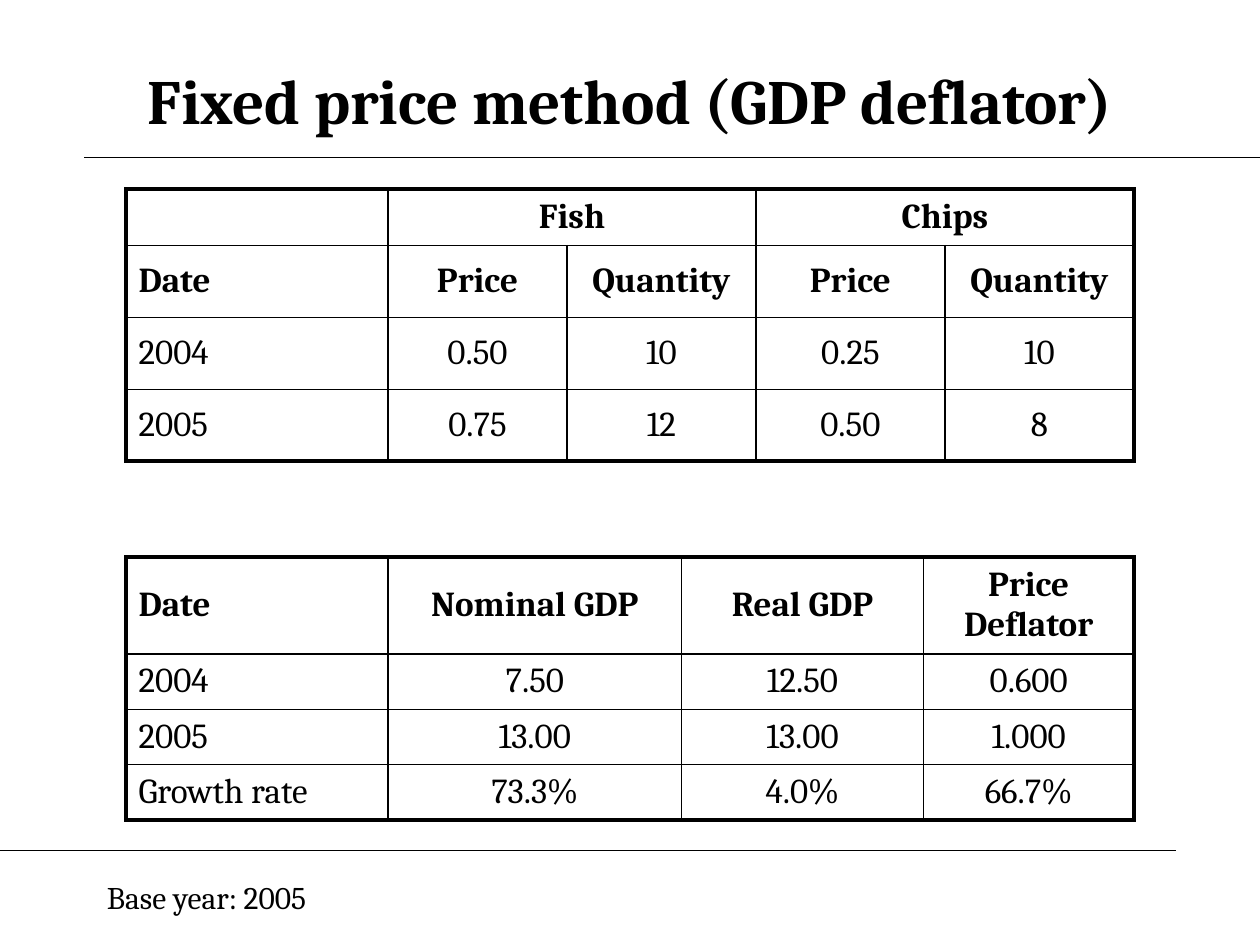
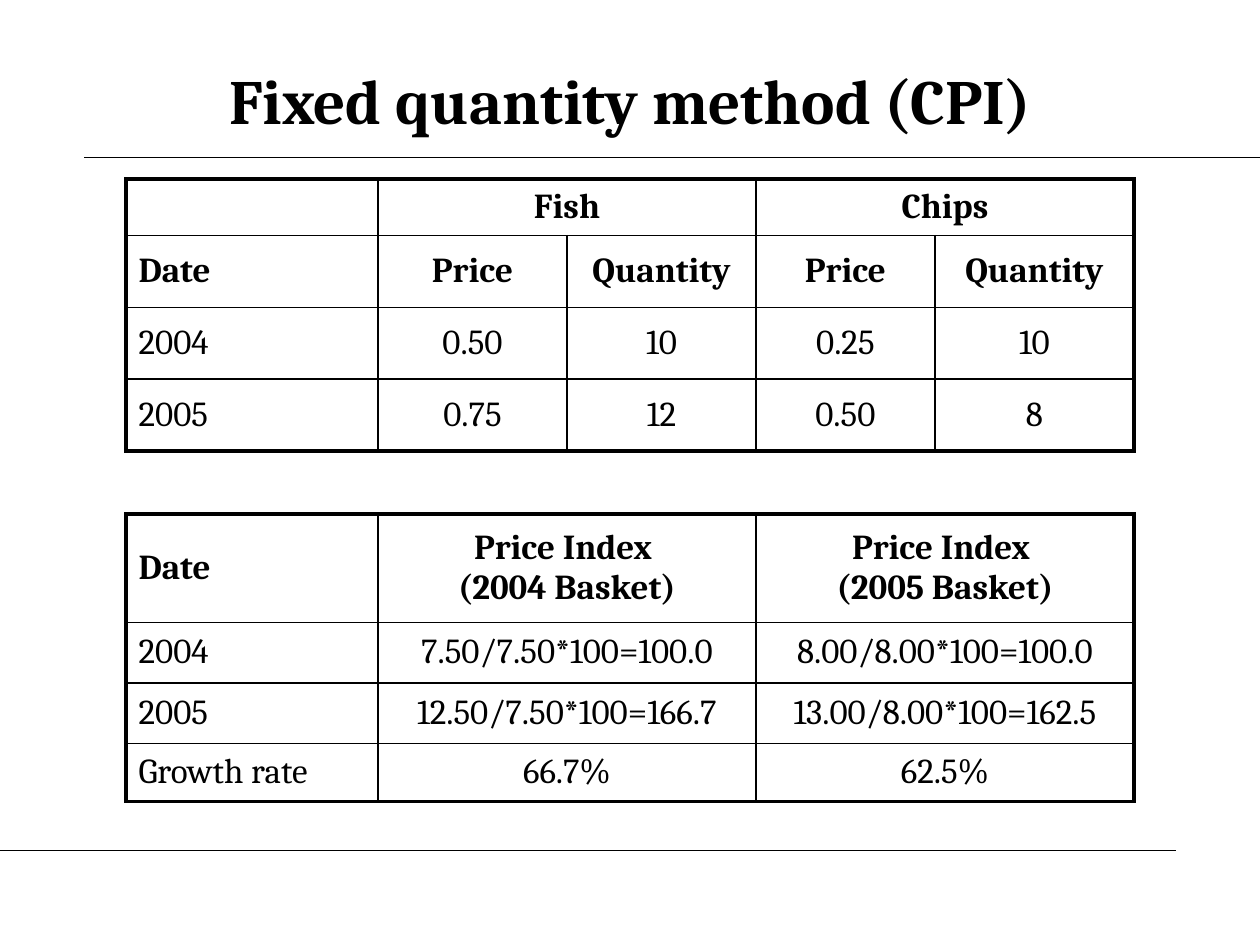
from dataclasses import dataclass

from lxml.etree import SubElement
from pptx import Presentation
from pptx.dml.color import RGBColor
from pptx.enum.shapes import MSO_CONNECTOR
from pptx.enum.text import MSO_ANCHOR, PP_ALIGN
from pptx.oxml.ns import qn
from pptx.slide import Slide
from pptx.table import _Cell
from pptx.text.text import TextFrame
from pptx.util import Inches, Pt

INK = RGBColor(0x00, 0x00, 0x00)
PAPER = RGBColor(0xFF, 0xFF, 0xFF)
FONT = "Cambria"
TITLE_SIZE, TABLE_SIZE, NOTE_SIZE = 36, 20, 18
RULE_WIDTH, GRID_WIDTH, FRAME_WIDTH = 0.75, 1, 2.25
TABLE_LEFT = 1

PRICE_ROWS = (
    ("", "Fish", "", "Chips", ""),
    ("Date", "Price", "Quantity", "Price", "Quantity"),
    ("2004", "0.50", "10", "0.25", "10"),
    ("2005", "0.75", "12", "0.50", "8"),
)
PRICE_HEIGHTS = (0.45, 0.57, 0.57, 0.57)
PRODUCT_COLUMNS = (1, 3)

DEFLATOR_ROWS = (
    ("Date", "Nominal GDP", "Real GDP", "Price Deflator"),
    ("2004", "7.50", "12.50", "0.600"),
    ("2005", "13.00", "13.00", "1.000"),
    ("Growth rate", "73.3%", "4.0%", "66.7%"),
)
INDEX_ROWS = (
    ("Date", "Price Index \n(2004 Basket)", "Price Index \n(2005 Basket)"),
    ("2004", "7.50/7.50*100=100.0", "8.00/8.00*100=100.0"),
    ("2005", "12.50/7.50*100=166.7", "13.00/8.00*100=162.5"),
    ("Growth rate", "66.7%", "62.5%"),
)


@dataclass(frozen=True)
class Grid:
    top: float
    widths: tuple[float, ...]
    heights: tuple[float, ...]
    rows: tuple[tuple[str, ...], ...]
    header_rows: int = 1
    paired_columns: tuple[int, ...] = ()


@dataclass(frozen=True)
class Method:
    title: str
    grids: tuple[Grid, ...]
    note: str = ""


def price_grid(top: float, widths: tuple[float, ...]) -> Grid:
    return Grid(top, widths, PRICE_HEIGHTS, PRICE_ROWS, 2, PRODUCT_COLUMNS)


METHODS = (
    Method(
        "Fixed price method (GDP deflator)",
        (
            price_grid(1.5, (2.08, 1.42, 1.5, 1.5, 1.5)),
            Grid(4.42, (2.08, 2.33, 1.92, 1.67), (0.77, 0.44, 0.44, 0.44), DEFLATOR_ROWS),
        ),
        "Base year: 2005",
    ),
    Method(
        "Fixed quantity method (CPI)",
        (
            price_grid(1.42, (2, 1.5, 1.5, 1.42, 1.58)),
            Grid(4.08, (2, 3, 3), (0.86, 0.48, 0.48, 0.46), INDEX_ROWS),
        ),
    ),
)


def write(frame: TextFrame, text: str, size: float, bold: bool, align: PP_ALIGN) -> None:
    paragraph = frame.paragraphs[0]
    paragraph.text = text
    paragraph.alignment = align
    for run in paragraph.runs:
        run.font.name = FONT
        run.font.size = Pt(size)
        run.font.bold = bold
        run.font.color.rgb = INK


def add_label(slide: Slide, box: tuple[float, ...], text: str, size: float,
              bold: bool, align: PP_ALIGN, anchor: MSO_ANCHOR) -> None:
    frame = slide.shapes.add_textbox(*map(Inches, box)).text_frame
    frame.word_wrap = True
    frame.vertical_anchor = anchor
    write(frame, text, size, bold, align)


def add_rule(slide: Slide, start: float, end: float, y: float) -> None:
    rule = slide.shapes.add_connector(
        MSO_CONNECTOR.STRAIGHT, Inches(start), Inches(y), Inches(end), Inches(y))
    rule.line.color.rgb = INK
    rule.line.width = Pt(RULE_WIDTH)
    SubElement(rule.element.spPr, qn("a:effectLst"))


def add_borders(cell: _Cell, outer_sides: dict[str, bool]) -> None:
    properties = cell._tc.get_or_add_tcPr()
    for side, is_outer in outer_sides.items():
        width = FRAME_WIDTH if is_outer else GRID_WIDTH
        border = SubElement(properties, qn(f"a:ln{side}"), w=str(Pt(width)))
        fill = SubElement(border, qn("a:solidFill"))
        SubElement(fill, qn("a:srgbClr"), val=str(INK))


def add_grid(slide: Slide, grid: Grid) -> None:
    table = slide.shapes.add_table(
        len(grid.heights), len(grid.widths), Inches(TABLE_LEFT), Inches(grid.top),
        Inches(sum(grid.widths)), Inches(sum(grid.heights))).table
    table.first_row = False
    table.horz_banding = False
    for column, width in zip(table.columns, grid.widths):
        column.width = Inches(width)
    for row, height in zip(table.rows, grid.heights):
        row.height = Inches(height)
    for column in grid.paired_columns:
        table.cell(0, column).merge(table.cell(0, column + 1))

    last_row, last_column = len(grid.heights) - 1, len(grid.widths) - 1
    for row, texts in enumerate(grid.rows):
        for column, text in enumerate(texts):
            cell = table.cell(row, column)
            right_edge = column + 1 if cell.is_merge_origin else column
            add_borders(cell, {"L": column == 0, "R": right_edge == last_column,
                               "T": row == 0, "B": row == last_row})
            cell.fill.background()
            cell.vertical_anchor = MSO_ANCHOR.MIDDLE
            if text:
                align = PP_ALIGN.CENTER if column else PP_ALIGN.LEFT
                write(cell.text_frame, text, TABLE_SIZE, row < grid.header_rows, align)


def add_method(deck: Presentation, method: Method) -> None:
    slide = deck.slides.add_slide(deck.slide_layouts[6])
    slide.background.fill.solid()
    slide.background.fill.fore_color.rgb = PAPER
    add_rule(slide, 0.67, 10, 1.25)
    add_rule(slide, 0, 9.33, 6.75)
    add_label(slide, (0.5, 0.33, 9, 0.92), method.title, TITLE_SIZE, True,
              PP_ALIGN.CENTER, MSO_ANCHOR.MIDDLE)
    for grid in method.grids:
        add_grid(slide, grid)
    if method.note:
        add_label(slide, (0.75, 6.92, 5.25, 0.4), method.note, NOTE_SIZE, False,
                  PP_ALIGN.LEFT, MSO_ANCHOR.TOP)


def main() -> None:
    deck = Presentation()
    deck.slide_width, deck.slide_height = Inches(10), Inches(7.5)
    for method in METHODS:
        add_method(deck, method)
    deck.save("out.pptx")


if __name__ == "__main__":
    main()
